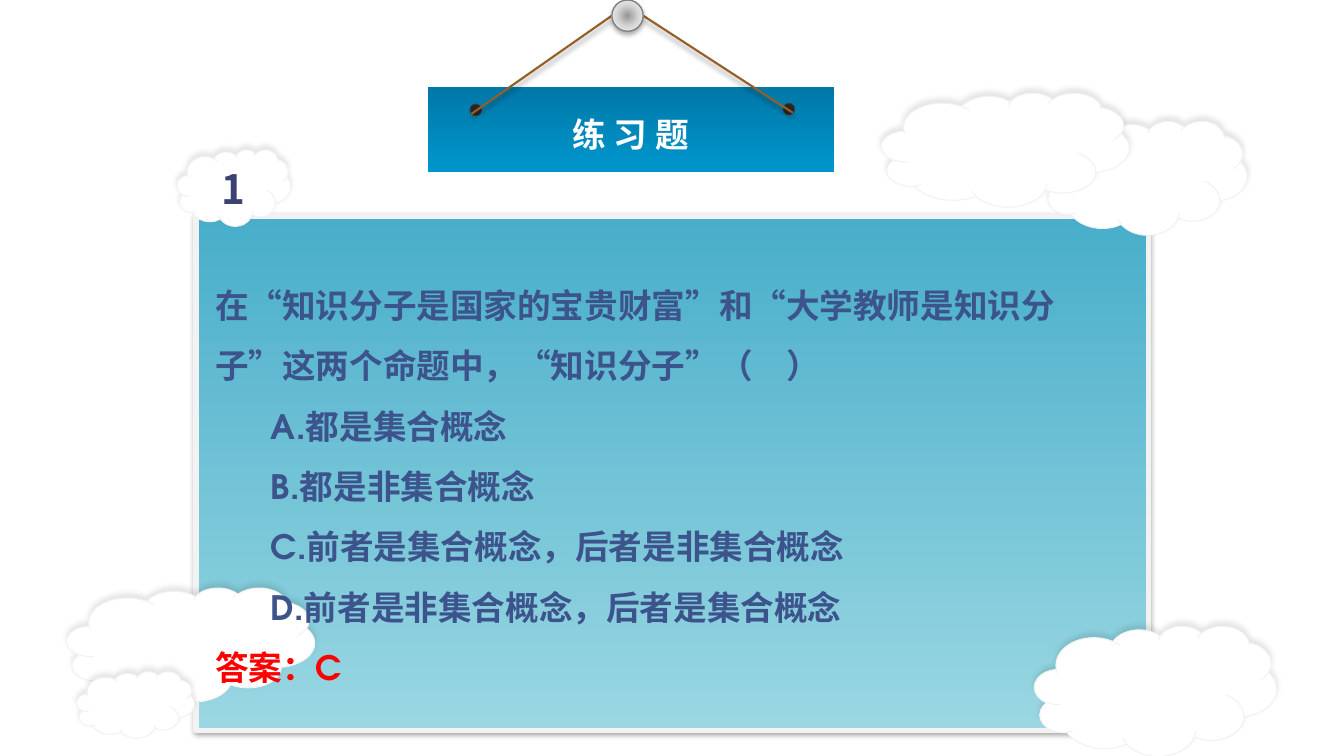
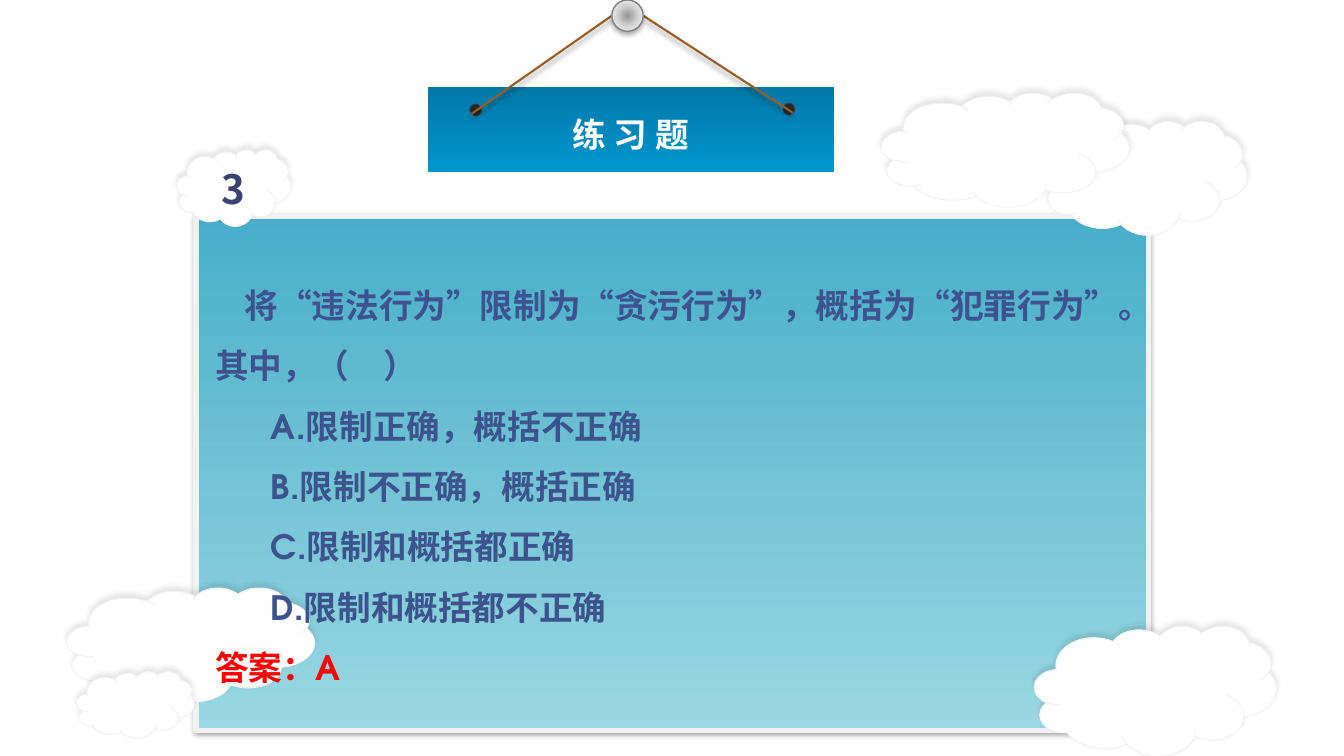
from dataclasses import dataclass
from lxml import etree
from pptx import Presentation
from pptx import util as u
from pptx.dml.color import RGBColor
from pptx.enum import lang, shapes, text
from pptx.oxml.ns import nsdecls, qn


@dataclass(frozen=True)
class Theme:
    head_font: str = "Noto Sans CJK SC"
    body_font: str = "TeX Gyre Adventor"
    size: float = 24
    number_size: float = 28.8
    leading: float = 43.1
    white: str = "FFFFFF"
    ink: str = "3C538C"
    number: str = "3B4172"
    answer: str = "FF0000"
    edge: str = "F2F2F2"
    rope: str = "955E27"
    hole: str = "262626"
    hole_edge: str = "404040"
    pin_edge: str = "808080"
    sign: tuple = ((0, "0078A8"), (94, "0094CA"))
    board: tuple = ((0, "9AD7E2"), (100, "48AECA"))
    pin: tuple = ((0, "979797"), (50, "D7D7D7"), (100, "FFFFFF"))
    rope_shadow: tuple = (40, 4, 3, 90)
    pin_shadow: tuple = (32, 3.5, 2.2, 90)
    board_shadow: tuple = (35, 3.1, 1.8, 90)
    cloud_shadow: tuple = (10, 4, 3, 270)


T = Theme()
KIND = shapes.MSO_SHAPE
CENTER = text.PP_ALIGN.CENTER
BACK_CLOUDS = (
    (26.3, 3.05, 5.13, 2.87),
    (26.07, 15.77, 6.1, 3.28),
    (22.21, 2.34, 6.25, 2.87),
    (1.68, 14.81, 6.25, 2.87),
)
FRONT_CLOUD = (1.93, 16.92, 2.97, 1.68)
QUESTIONS = (
    ("1", "在“知识分子是国家的宝贵财富”和“大学教师是知识分子”这两个命题中，“知识分子”（　）", 0,
     ("都是集合概念", "都是非集合概念",
      "前者是集合概念，后者是非集合概念", "前者是非集合概念，后者是集合概念"), "C"),
    ("3", "将“违法行为”限制为“贪污行为”，概括为“犯罪行为”。其中，（　）", 0.75,
     ("限制正确，概括不正确", "限制不正确，概括正确",
      "限制和概括都正确", "限制和概括都不正确"), "A"),
)


def cm(box):
    return [u.Cm(v) for v in box]


def set_gradient(sp, stops, angle):
    sp.fill.gradient()
    old = sp._element.spPr.find(qn("a:gradFill"))
    gs = "".join(f'<a:gs pos="{pos * 1000}"><a:srgbClr val="{color}"/></a:gs>'
                 for pos, color in stops)
    if angle is None:
        way = ('<a:path path="circle"><a:fillToRect l="50000" t="50000" '
               'r="50000" b="50000"/></a:path>')
    else:
        way = f'<a:lin ang="{angle * 60000}" scaled="0"/>'
    new = etree.fromstring(f'<a:gradFill {nsdecls("a")} rotWithShape="1">'
                           f'<a:gsLst>{gs}</a:gsLst>{way}</a:gradFill>')
    old.getparent().replace(old, new)


def set_shadow(effects, shadow):
    alpha, blur, dist, angle = shadow
    effects.append(etree.fromstring(
        f'<a:outerShdw {nsdecls("a")} blurRad="{u.Pt(blur)}" dist="{u.Pt(dist)}" '
        f'dir="{angle * 60000}" algn="ctr" rotWithShape="0"><a:srgbClr val="000000">'
        f'<a:alpha val="{alpha * 1000}"/></a:srgbClr></a:outerShdw>'))


def set_line(line, color, width):
    line.color.rgb = RGBColor.from_string(color)
    line.width = u.Pt(width)


def add_shape(s, kind, box, fill, line=None, angle=None, shadow=None):
    sp = s.shapes.add_shape(kind, *cm(box))
    if isinstance(fill, str):
        sp.fill.solid()
        sp.fill.fore_color.rgb = RGBColor.from_string(fill)
    else:
        set_gradient(sp, fill, angle)
    if line:
        set_line(sp.line, *line)
    else:
        sp.line.fill.background()
    sp.shadow.inherit = False
    if shadow:
        set_shadow(sp._element.spPr.find(qn("a:effectLst")), shadow)
    return sp


def add_rope(s, x1, y1, x2, y2):
    c = s.shapes.add_connector(shapes.MSO_CONNECTOR.STRAIGHT, *cm((x1, y1, x2, y2)))
    set_line(c.line, T.rope, 1.5)
    effects = etree.SubElement(c._element.spPr, qn("a:effectLst"))
    set_shadow(effects, T.rope_shadow)


def add_frame(s, box):
    tf = s.shapes.add_textbox(*cm(box)).text_frame
    tf.word_wrap = True
    tf.auto_size = text.MSO_AUTO_SIZE.SHAPE_TO_FIT_TEXT
    return tf


def write(tf, words, size=T.size, font=T.body_font, color=T.ink,
          align=None, spacing=None, left=0, first=0):
    p = tf.paragraphs[-1]
    if p.runs:
        p = tf.add_paragraph()
    p.alignment = align
    p.line_spacing = spacing
    pPr = p._p.get_or_add_pPr()
    pPr.set("marL", str(u.Cm(left)))
    pPr.set("indent", str(u.Cm(first)))
    r = p.add_run()
    r.text = words
    r.font.size = u.Pt(size)
    r.font.bold = True
    r.font.name = font
    r.font.language_id = lang.MSO_LANGUAGE_ID.SIMPLIFIED_CHINESE
    r.font.color.rgb = RGBColor.from_string(color)
    ea = etree.SubElement(r.font._element, qn("a:ea"))
    ea.set("typeface", T.head_font)


def add_cloud(s, box):
    add_shape(s, KIND.CLOUD, box, T.white, (T.edge, 0.75), shadow=T.cloud_shadow)


def add_sign(s, x, y, w, h, title):
    add_shape(s, KIND.RECTANGLE, (x, y, w, h), T.sign, angle=90)
    for dx, dy in ((1.06, 0.42), (8.95, 0.4)):
        add_shape(s, KIND.OVAL, (x + dx, y + dy, 0.3, 0.3), T.hole, (T.hole_edge, 0.5))
    pin_x, pin_y, pin_d = x + 4.64, y - 2.2, 0.79
    pin_mid = pin_y + pin_d / 2
    add_rope(s, pin_x + pin_d, pin_mid, x + 9.2, y + 0.64)
    add_rope(s, pin_x, pin_mid, x + 1.1, y + 0.67)
    add_shape(s, KIND.OVAL, (pin_x, pin_y, pin_d, pin_d), T.pin,
              (T.pin_edge, 1), shadow=T.pin_shadow)
    tf = add_frame(s, (x + 1.28, y + 0.54, 7.67, 1.27))
    write(tf, title, font=T.head_font, color=T.white, align=CENTER)


def add_board(s, x, y, w, h):
    add_shape(s, KIND.RECTANGLE, (x, y, w, h), T.board, (T.edge, 3.75),
              angle=270, shadow=T.board_shadow)


def add_question(s, x, y, w, h, stem, first, options, answer):
    tf = add_frame(s, (x, y, w, h))
    tf.margin_top = u.Cm(1.23)
    leading = u.Pt(T.leading)
    write(tf, stem, spacing=leading, first=first)
    for letter, option in zip("ABCD", options):
        write(tf, f"{letter}.{option}", spacing=leading, left=1.41)
    write(tf, f"答案：{answer}", color=T.answer, spacing=leading)


def add_badge(s, x, y, w, h, number):
    add_cloud(s, (x, y, w, h))
    tf = add_frame(s, (x - 2.41, y + 0.25, 7.67, 1.5))
    write(tf, number, size=T.number_size, font=T.head_font,
          color=T.number, align=CENTER)


def add_exercise(prs, number, *question):
    s = prs.slides.add_slide(prs.slide_layouts[6])
    add_sign(s, 10.78, 2.2, 10.24, 2.13, "练 习 题")
    add_board(s, 4.94, 5.45, 24, 12.95)
    for box in BACK_CLOUDS:
        add_cloud(s, box)
    add_question(s, 5.17, 5.45, 23.29, 12.57, *question)
    add_cloud(s, FRONT_CLOUD)
    add_badge(s, 4.46, 3.77, 2.87, 1.93, number)


def main():
    prs = Presentation()
    prs.slide_width, prs.slide_height = cm((33.87, 19.05))
    for question in QUESTIONS:
        add_exercise(prs, *question)
    prs.save("out.pptx")


if __name__ == "__main__":
    main()
